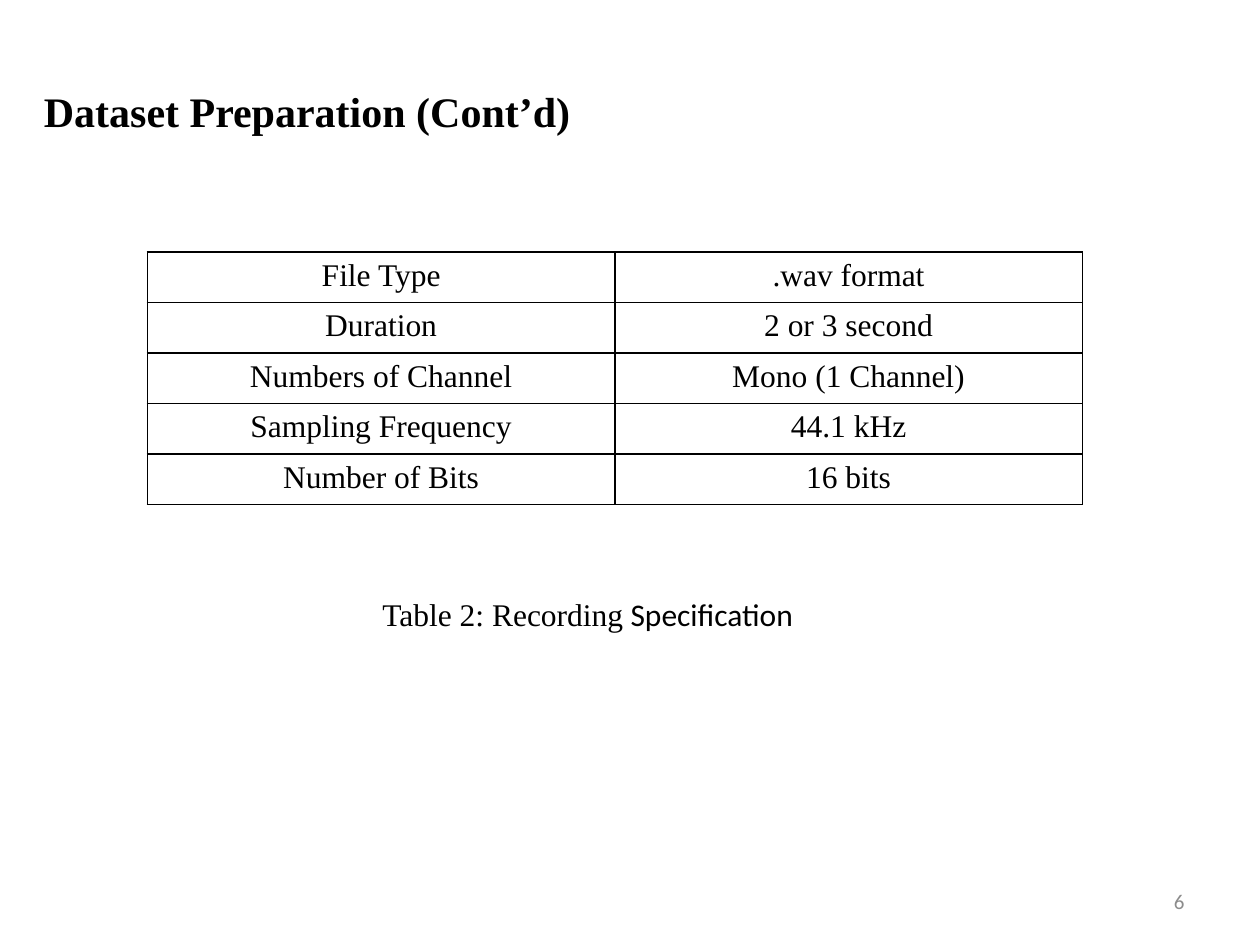
import dataclasses

import lxml.etree
import pptx
import pptx.dml.color
import pptx.enum.text
import pptx.oxml.ns
import pptx.util

Inches = pptx.util.Inches
Align = pptx.enum.text.PP_ALIGN
Anchor = pptx.enum.text.MSO_ANCHOR

COLORS = {"text": "000000", "page_number": "8C8C8C", "border": "000000", "paper": "FFFFFF"}
SERIF, SANS = "Times New Roman", "Calibri"


@dataclasses.dataclass
class Specification:
    label: str
    value: str


SPECIFICATIONS = [
    Specification("File Type", ".wav format"),
    Specification("Duration", "2 or 3 second"),
    Specification("Numbers of Channel", "Mono (1 Channel)"),
    Specification("Sampling Frequency", "44.1 kHz"),
    Specification("Number of Bits", "16 bits"),
]


def write(frame, text: str, *, size: float = 18, font: str = SERIF,
          color: str = "text", bold: bool = False, align=Align.CENTER) -> None:
    """Append a formatted run to the first paragraph of a text frame."""
    paragraph = frame.paragraphs[0]
    paragraph.alignment = align
    run = paragraph.add_run()
    run.text = text
    run.font.size = pptx.util.Pt(size)
    run.font.name = font
    run.font.bold = bold
    run.font.color.rgb = pptx.dml.color.RGBColor.from_string(COLORS[color])


def add_frame(slide, left: float, top: float, width: float, height: float,
              anchor=Anchor.MIDDLE):
    """Add a wrapping text box and return its text frame."""
    frame = slide.shapes.add_textbox(
        Inches(left), Inches(top), Inches(width), Inches(height)).text_frame
    frame.word_wrap = True
    frame.vertical_anchor = anchor
    return frame


def add_borders(cell, points: float = 1) -> None:
    """Draw a solid line on all four sides of a cell."""
    qn = pptx.oxml.ns.qn
    properties = cell._tc.get_or_add_tcPr()
    for index, side in enumerate(("a:lnL", "a:lnR", "a:lnT", "a:lnB")):
        line = lxml.etree.Element(qn(side), w=str(pptx.util.Pt(points)))
        fill = lxml.etree.SubElement(line, qn("a:solidFill"))
        lxml.etree.SubElement(fill, qn("a:srgbClr"), val=COLORS["border"])
        properties.insert(index, line)


def add_specification_table(slide, specifications: list[Specification]) -> None:
    row_height = 0.38
    table = slide.shapes.add_table(
        len(specifications), 2, Inches(1.17), Inches(2),
        Inches(7.42), Inches(row_height * len(specifications))).table
    table.first_row = table.horz_banding = False
    for row, specification in enumerate(specifications):
        table.rows[row].height = Inches(row_height)
        for column, text in enumerate(dataclasses.astuple(specification)):
            cell = table.cell(row, column)
            cell.fill.solid()
            cell.fill.fore_color.rgb = pptx.dml.color.RGBColor.from_string(COLORS["paper"])
            add_borders(cell)
            write(cell.text_frame, text)


presentation = pptx.Presentation()
presentation.slide_width, presentation.slide_height = Inches(10), Inches(7.5)
slide = presentation.slides.add_slide(presentation.slide_layouts[6])

# Title
title = add_frame(slide, 0.25, 0.25, 9.17, 1.25)
write(title, "Dataset Preparation (Cont’d)", size=24, bold=True, align=Align.LEFT)

# Recording settings
add_specification_table(slide, SPECIFICATIONS)

# Page number
page_number = add_frame(slide, 7.17, 6.95, 2.33, 0.4)
write(page_number, "6", size=12, font=SANS, color="page_number", align=Align.RIGHT)

# Table caption
caption = add_frame(slide, 1.75, 4.67, 5.83, 0.4, Anchor.TOP)
caption.auto_size = pptx.enum.text.MSO_AUTO_SIZE.SHAPE_TO_FIT_TEXT
write(caption, "Table 2: Recording")
write(caption, " Specification", font=SANS)

presentation.save("out.pptx")
